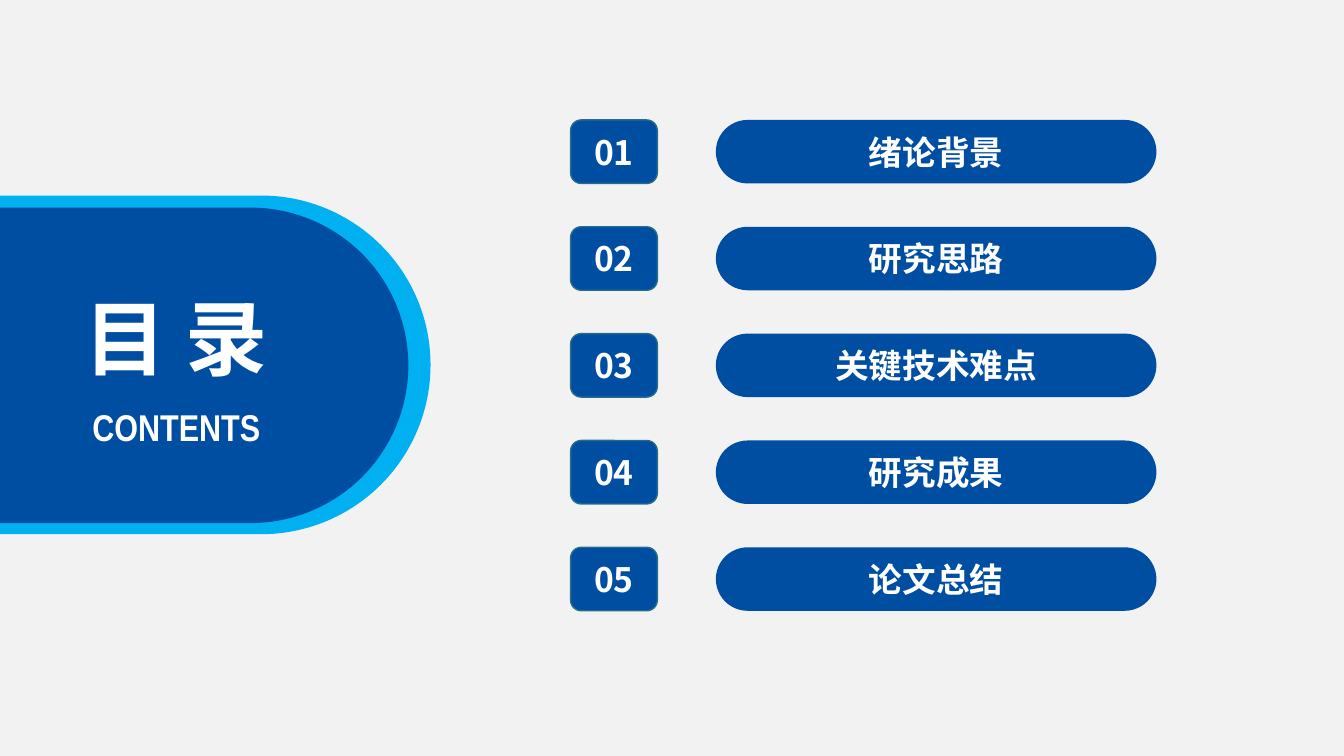
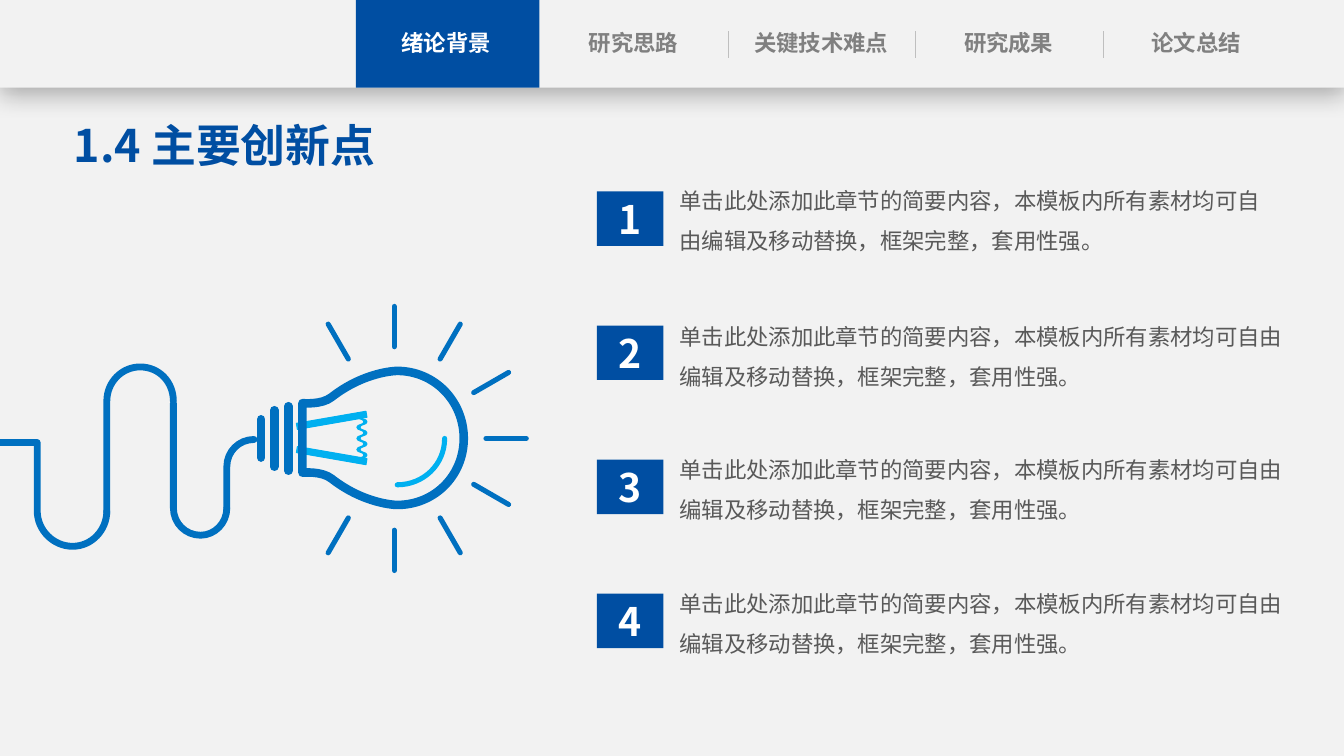
from dataclasses import dataclass
from math import cos, radians, sin

from lxml.etree import SubElement
from pptx import Presentation
from pptx.dml.color import RGBColor
from pptx.enum.shapes import MSO_CONNECTOR, MSO_SHAPE
from pptx.enum.text import MSO_ANCHOR, MSO_AUTO_SIZE, PP_ALIGN
from pptx.oxml.ns import qn
from pptx.util import Inches, Pt

COLORS = {
    "background": "F2F2F2",
    "navy": "004EA2",
    "blue": "0070C0",
    "sky": "00B0F0",
    "badge_line": "266D8A",
    "white": "FFFFFF",
    "tab_gray": "808080",
    "separator": "BFBFBF",
    "body": "595959",
}
CHINESE_FONT = "Noto Sans CJK SC"
SECTIONS = ["绪论背景", "研究思路", "关键技术难点", "研究成果", "论文总结"]
BODY_TEXT = "单击此处添加此章节的简要内容，本模板内所有素材均可自由编辑及移动替换，框架完整，套用性强。"


@dataclass(frozen=True)
class Box:
    left: float
    top: float
    width: float
    height: float

    def lengths(self):
        return [Inches(value) for value in (self.left, self.top, self.width, self.height)]


@dataclass(frozen=True)
class TextStyle:
    size: float
    color: str
    bold: bool = True
    font: str = CHINESE_FONT
    align: PP_ALIGN = PP_ALIGN.CENTER
    line_spacing: float | None = None


@dataclass(frozen=True)
class Point:
    number: str
    text_top: float
    text_width: float


@dataclass(frozen=True)
class Outline:
    """Pairs are corners, sextuples are cubic curves."""
    steps: tuple
    color: str
    width: float
    closed: bool = False
    filled: bool = False


MENU_STYLE = TextStyle(24, "white")
NUMBER_STYLE = TextStyle(28, "white")
BODY_STYLE = TextStyle(16, "body", bold=False, align=PP_ALIGN.LEFT, line_spacing=1.5)
POINTS = [Point("1", 1.67, 6.05), Point("2", 3.02, 6.35),
          Point("3", 4.34, 6.35), Point("4", 5.67, 6.35)]

# Outlines of the light bulb drawing
GLASS = Outline((
    (3.94, 3.68), (4.31, 3.68, 4.6, 3.98, 4.6, 4.35), (4.6, 4.72, 4.31, 5.01, 3.94, 5.01),
    (3.92, 5.01, 3.61, 5, 3.29, 4.75), (3.19, 4.67, 3, 4.69, 3, 4.69), (3, 4),
    (3, 4, 3.19, 4.02, 3.29, 3.94), (3.61, 3.69, 3.92, 3.68, 3.94, 3.68),
), "blue", 6.13, closed=True)
GLINT = Outline(((3.94, 4.81), (4.2, 4.81, 4.41, 4.61, 4.41, 4.35)), "sky", 3.63)
HOLDERS = [Outline(steps, "sky", 0.75, closed=True, filled=True) for steps in (
    ((2.94, 4.49), (2.95, 4.43), (3.64, 4.55), (3.63, 4.61)),
    ((2.94, 4.2), (3.63, 4.08), (3.64, 4.14), (2.95, 4.26)),
)]
WIRE_PARTS = [Outline(steps, "blue", 4.88) for steps in (
    ((2.25, 5.04), (2.25, 5.19, 2.13, 5.31, 1.99, 5.31),
     (1.84, 5.31, 1.72, 5.19, 1.72, 5.04), (1.72, 4)),
    ((1.06, 5.07), (1.06, 5.26, 0.91, 5.42, 0.72, 5.42),
     (0.53, 5.42, 0.37, 5.26, 0.37, 5.07), (0.37, 4.39), (0, 4.39)),
    ((1.06, 5.09), (1.06, 3.98), (1.06, 3.79, 1.21, 3.64, 1.39, 3.64),
     (1.58, 3.64, 1.72, 3.79, 1.72, 3.98)),
    ((2.25, 5.04), (2.25, 4.63), (2.25, 4.48, 2.37, 4.36, 2.52, 4.36)),
)]


def rgb(name: str) -> RGBColor:
    return RGBColor.from_string(COLORS[name])


def style_paragraph(paragraph, style: TextStyle) -> None:
    paragraph.alignment = style.align
    if style.line_spacing:
        paragraph.line_spacing = style.line_spacing
    font = paragraph.font
    font.size = Pt(style.size)
    font.bold = style.bold
    font.color.rgb = rgb(style.color)
    font.name = style.font
    default_properties = paragraph._p.get_or_add_pPr().get_or_add_defRPr()
    SubElement(default_properties, qn("a:ea"), typeface=style.font)


def add_block(shapes, kind: MSO_SHAPE, box: Box, fill: str, line: str = "",
              text: str = "", style: TextStyle = MENU_STYLE, rounding: float | None = None):
    shape = shapes.add_shape(kind, *box.lengths())
    shape.shadow.inherit = False
    shape.fill.solid()
    shape.fill.fore_color.rgb = rgb(fill)
    if line:
        shape.line.color.rgb = rgb(line)
        shape.line.width = Pt(1)
    else:
        shape.line.fill.background()
    if rounding is not None:
        shape.adjustments[0] = rounding
    if text:
        shape.text_frame.vertical_anchor = MSO_ANCHOR.MIDDLE
        paragraph = shape.text_frame.paragraphs[0]
        paragraph.text = text
        style_paragraph(paragraph, style)
    return shape


def add_label(shapes, box: Box, text: str, style: TextStyle,
              wrap: bool = True, side_inset: float = 0.1) -> None:
    frame = shapes.add_textbox(*box.lengths()).text_frame
    frame.word_wrap = wrap
    frame.auto_size = MSO_AUTO_SIZE.SHAPE_TO_FIT_TEXT
    frame.margin_left = frame.margin_right = Inches(side_inset)
    paragraph = frame.paragraphs[0]
    paragraph.text = text
    style_paragraph(paragraph, style)


def round_line_ends(shape) -> None:
    line = shape.line._get_or_add_ln()
    line.set("cap", "rnd")
    SubElement(line, qn("a:round"))


def add_line(shapes, start: tuple, end: tuple, color: str, width: float):
    connector = shapes.add_connector(
        MSO_CONNECTOR.STRAIGHT, *[Inches(value) for value in (*start, *end)])
    connector.line.color.rgb = rgb(color)
    connector.line.width = Pt(width)
    SubElement(connector._element.spPr, qn("a:effectLst"))
    return connector


def add_outline(shapes, outline: Outline) -> None:
    corners = [(Inches(step[-2]), Inches(step[-1])) for step in outline.steps]
    builder = shapes.build_freeform(*corners[0])
    builder.add_line_segments(corners[1:], close=outline.closed)
    shape = builder.convert_to_shape()
    left = min(x for x, _ in corners)
    top = min(y for _, y in corners)

    # Turn the segments that have control points into cubic curves
    segments = list(shape._element.iter(qn("a:lnTo")))
    for segment, step in zip(segments, outline.steps[1:]):
        if len(step) == 6:
            curve = segment.makeelement(qn("a:cubicBezTo"))
            for x, y in zip(step[::2], step[1::2]):
                SubElement(curve, qn("a:pt"), x=str(Inches(x) - left), y=str(Inches(y) - top))
            segment.getparent().replace(segment, curve)

    shape.shadow.inherit = False
    if outline.filled:
        shape.fill.solid()
        shape.fill.fore_color.rgb = rgb(outline.color)
    else:
        shape.fill.background()
    shape.line.color.rgb = rgb(outline.color)
    shape.line.width = Pt(outline.width)
    round_line_ends(shape)


def wave_edge(inner: float, outer: float, start: float, half: float) -> list:
    """Four waves between two x positions; a negative half period runs upwards."""
    steps = []
    for index in range(8):
        here, there = (inner, outer) if index % 2 == 0 else (outer, inner)
        y = start + index * half
        steps.append((here, y + 0.6 * half, there, y + 0.4 * half, there, y + half))
    return steps


def draw_bulb(shapes) -> None:
    # Rays every 30 degrees
    center_x, center_y = 3.91, 4.35
    for angle in range(-120, 121, 30):
        start, end = [(center_x + radius * cos(radians(angle)),
                       center_y + radius * sin(radians(angle))) for radius in (0.91, 1.31)]
        round_line_ends(add_line(shapes, start, end, "blue", 3.63))

    # Filament: two holders and a wavy strip
    strip = ((3.54, 4.13), *wave_edge(3.54, 3.61, 4.13, 0.055),
             (3.57, 4.57), *wave_edge(3.57, 3.64, 4.57, -0.055))
    filament = Outline(strip, "sky", 0.75, closed=True, filled=True)
    for outline in (GLINT, *HOLDERS, filament, GLASS):
        add_outline(shapes, outline)

    # Screw thread and wire
    for x, half_height in ((2.86, 0.32), (2.72, 0.28), (2.59, 0.19)):
        round_line_ends(add_line(shapes, (x, center_y - half_height),
                                 (x, center_y + half_height), "blue", 6.13))
    for part in WIRE_PARTS:
        add_outline(shapes, part)


def draw_navigation(shapes, active: int) -> None:
    band = add_block(shapes, MSO_SHAPE.RECTANGLE, Box(0, 0, 13.33, 0.87), "background")
    effects = band._element.spPr.find(qn("a:effectLst"))
    shadow = SubElement(effects, qn("a:outerShdw"), blurRad=str(Pt(18)), dist=str(Pt(4)),
                        dir="5400000", algn="t", rotWithShape="0")
    shadow_color = SubElement(shadow, qn("a:srgbClr"), val="000000")
    SubElement(shadow_color, qn("a:alpha"), val="29000")

    pitch = 1.86
    add_block(shapes, MSO_SHAPE.RECTANGLE,
              Box(3.53 + active * pitch, 0, 1.82, 0.87), "navy")
    for index, section in enumerate(SECTIONS):
        style = TextStyle(16, "white" if index == active else "tab_gray")
        add_label(shapes, Box(3.69 + index * pitch, 0.24, 1.47, 0.38), section, style,
                  side_inset=0)
        if index > active + 1:
            x = 3.5 + index * pitch
            add_line(shapes, (x, 0.31), (x, 0.58), "separator", 0.5)


def build_contents(slide) -> None:
    shapes = slide.shapes
    # Title tab
    for box, color in ((Box(-1.91, 1.94, 6.18, 3.36), "sky"),
                       (Box(-1.7, 2.06, 5.75, 3.13), "navy")):
        add_block(shapes, MSO_SHAPE.ROUNDED_RECTANGLE, box, color, rounding=0.5)
    add_label(shapes, Box(0.62, 3.96, 2.26, 0.55), "CONTENTS",
              TextStyle(26.6, "white", font="Arial Narrow"), wrap=False)
    add_label(shapes, Box(0.7, 2.8, 2.09, 1.09), "目 录", TextStyle(58.6, "white"), wrap=False)

    # Numbered sections
    for index, section in enumerate(SECTIONS):
        top = 1.19 + index * 1.06
        add_block(shapes, MSO_SHAPE.ROUNDED_RECTANGLE, Box(5.66, top, 0.86, 0.63), "navy",
                  line="badge_line", text=f"{index + 1:02}")
        add_block(shapes, MSO_SHAPE.ROUNDED_RECTANGLE, Box(7.1, top, 4.37, 0.63), "navy",
                  text=section, rounding=0.5)


def build_innovations(slide) -> None:
    shapes = slide.shapes
    draw_navigation(shapes, active=0)
    add_label(shapes, Box(0.73, 1.12, 3.31, 0.64), "1.4 主要创新点",
              TextStyle(32, "navy", align=PP_ALIGN.LEFT), side_inset=0)
    draw_bulb(shapes.add_group_shape().shapes)

    # Numbered points
    for index, point in enumerate(POINTS):
        group = shapes.add_group_shape().shapes
        add_label(group, Box(6.64, point.text_top, point.text_width, 0.91),
                  BODY_TEXT, BODY_STYLE)
        add_block(group, MSO_SHAPE.RECTANGLE, Box(5.92, 1.9 + index * 1.33, 0.66, 0.54),
                  "navy", text=point.number, style=NUMBER_STYLE)


def main() -> None:
    presentation = Presentation()
    presentation.slide_width = Inches(13.33)
    presentation.slide_height = Inches(7.5)
    blank = presentation.slide_layouts[6]
    slides = [presentation.slides.add_slide(blank) for _ in range(2)]

    # Shared backdrop, moved from the first slide to the master
    backdrop = add_block(slides[0].shapes, MSO_SHAPE.RECTANGLE,
                         Box(0, 0, 13.33, 7.5), "background")
    presentation.slide_master.shapes._spTree.append(backdrop._element)

    for build, slide in zip((build_contents, build_innovations), slides):
        build(slide)
    presentation.save("out.pptx")


if __name__ == "__main__":
    main()
